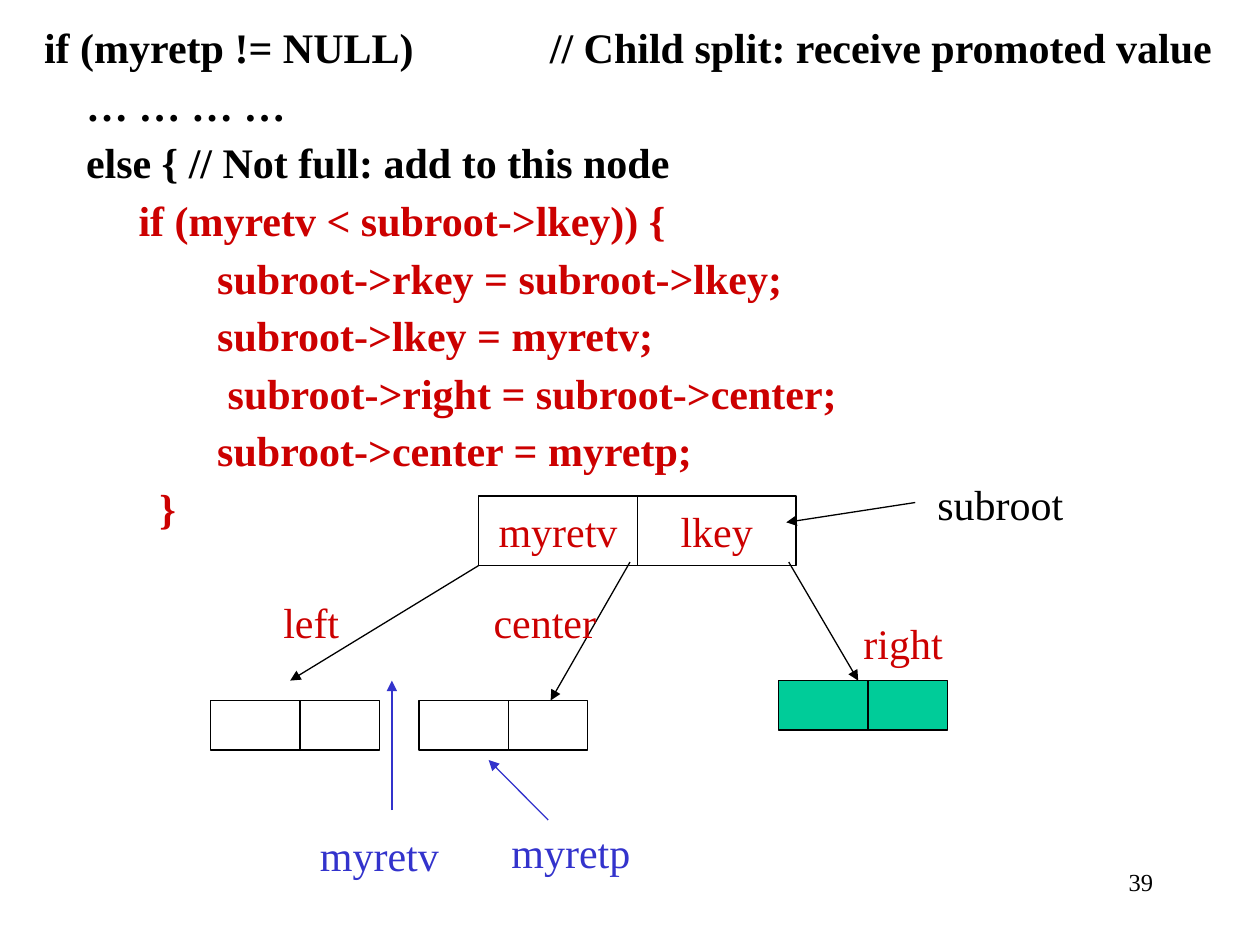
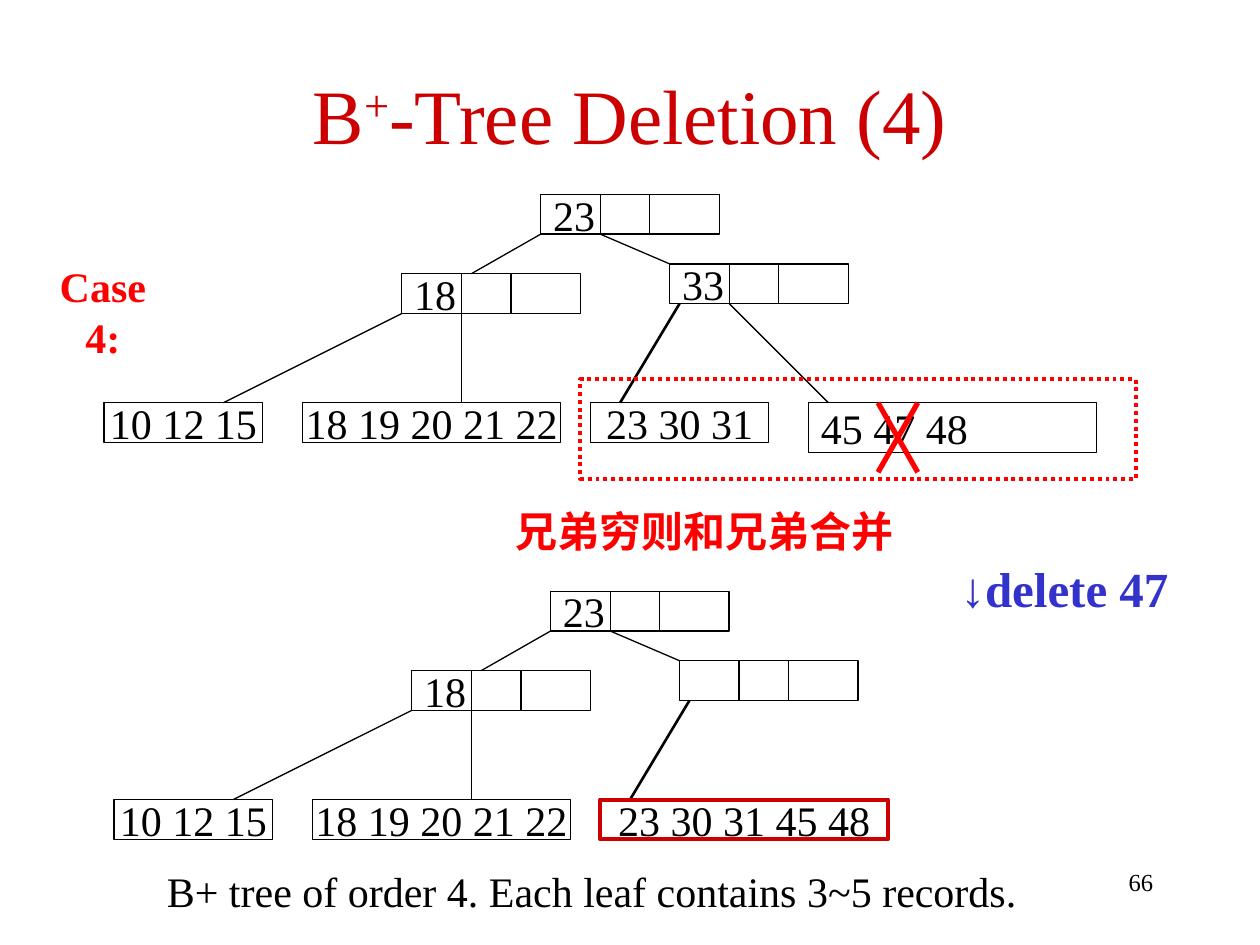
from lxml import etree
from pptx import Presentation
from pptx import util as u
from pptx.dml.color import RGBColor
from pptx.enum import dml, shapes, text
from pptx.oxml import ns

FONT = "Times New Roman"
BLACK, CRIMSON, RED = "000000", "CC0000", "FF0000"
BLUE, GREEN = "3333CC", "00CC99"
CENTER, LEFT, RIGHT = text.PP_ALIGN.CENTER, text.PP_ALIGN.LEFT, text.PP_ALIGN.RIGHT
TITLE_ONLY, BLANK = 5, 6

NODE_WIDTH, NODE_HEIGHT = 3.6, 0.8
KEY_DIVIDERS = (1.2, 2.2)
LEAF_DROP = 4.2  # from the top of the root to the top of the leaves

CODE = [
    ("if (myretp != NULL)             // Child split: receive promoted value", BLACK),
    ("    … … … …", BLACK),
    ("    else { // Not full: add to this node", BLACK),
    ("         if (myretv < subroot->lkey)) {", CRIMSON),
    ("              \tsubroot->rkey = subroot->lkey;", CRIMSON),
    ("        \t\tsubroot->lkey = myretv;", CRIMSON),
    ("       \t\t subroot->right = subroot->center;", CRIMSON),
    ("        \t\tsubroot->center = myretp;", CRIMSON),
    ("           }", CRIMSON),
]


def rgb(hex_color):
    return RGBColor.from_string(hex_color)


def set_font(paragraph, color=BLACK, size=24, bold=False):
    font = paragraph.font
    font.name, font.size, font.bold = FONT, u.Pt(size), bold
    font.color.rgb = rgb(color)


def box(slide, x, y, width, height, words="", color=BLACK, align=CENTER,
        fill=None, line=BLACK, weight=0.75, dash=None):
    """Outlined rectangle, with its words on one line."""
    rect = slide.shapes.add_shape(shapes.MSO_SHAPE.RECTANGLE,
                                  u.Cm(x), u.Cm(y), u.Cm(width), u.Cm(height))
    rect.shadow.inherit = False
    if fill:
        rect.fill.solid()
        rect.fill.fore_color.rgb = rgb(fill)
    else:
        rect.fill.background()
    rect.line.color.rgb = rgb(line)
    rect.line.width = u.Pt(weight)
    if dash:
        rect.line.dash_style = dash
    if words:
        frame = rect.text_frame
        frame.word_wrap = False
        frame.vertical_anchor = text.MSO_ANCHOR.MIDDLE
        paragraph = frame.paragraphs[0]
        paragraph.text, paragraph.alignment = words, align
        set_font(paragraph, color)


def label(slide, words, x, y, width, color=BLACK, size=24, bold=False, align=CENTER):
    area = slide.shapes.add_textbox(u.Cm(x), u.Cm(y), u.Cm(width), u.Cm(1.27))
    area.text_frame.word_wrap = False
    paragraph = area.text_frame.paragraphs[0]
    paragraph.text, paragraph.alignment = words, align
    set_font(paragraph, color, size, bold)


def page_number(slide, number):
    label(slide, str(number), 18.2, 17.35, 5.3, size=14, align=RIGHT)


def line(slide, start, end, color=BLACK, weight=0.75, arrow=False):
    connector = slide.shapes.add_connector(
        shapes.MSO_CONNECTOR.STRAIGHT, *(u.Cm(value) for value in (*start, *end)))
    connector.line.color.rgb = rgb(color)
    connector.line.width = u.Pt(weight)
    if arrow:
        outline = connector.line._get_or_add_ln()
        etree.SubElement(outline, ns.qn("a:tailEnd"), type="triangle")
    etree.SubElement(connector._element.spPr, ns.qn("a:effectLst"))


def code_listing(slide, lines):
    area = slide.shapes.add_textbox(u.Cm(0.64), u.Cm(0.43), u.Cm(24.76), u.Cm(11.5))
    frame = area.text_frame
    frame.word_wrap = True
    for number, (code, color) in enumerate(lines):
        paragraph = frame.add_paragraph() if number else frame.paragraphs[0]
        paragraph.text = code
        props = paragraph._p.get_or_add_pPr()
        props.set("marL", str(u.Cm(0.95)))
        props.set("indent", str(u.Cm(-0.95)))
        tabs = etree.SubElement(props, ns.qn("a:tabLst"))
        for stop in range(8):
            etree.SubElement(tabs, ns.qn("a:tab"), pos=str(u.Cm(2.54 * stop)), algn="l")
        paragraph.line_spacing = 0.9
        if number:
            paragraph.space_before = u.Pt(7)
        set_font(paragraph, color, bold=True)


def child_node(slide, x, y, fill=None):
    box(slide, x, y, 1.8, 1, fill=fill)
    box(slide, x + 1.8, y, 1.6, 1, fill=fill)


def index_node(slide, x, y, key):
    box(slide, x, y, NODE_WIDTH, NODE_HEIGHT, key, align=LEFT)
    for offset in KEY_DIVIDERS:
        line(slide, (x + offset, y), (x + offset, y + NODE_HEIGHT))


def tree(slide, x, y, right_key):
    """Index levels and the two unchanged leaves, with the root's corner at x, y."""
    def edge(start, end, weight=0.75):
        line(slide, (x + start[0], y + start[1]), (x + end[0], y + end[1]), weight=weight)

    index_node(slide, x, y, "23")
    index_node(slide, x - 2.8, y + 1.6, "18")
    index_node(slide, x + 2.6, y + 1.4, right_key)
    box(slide, x - 8.8, y + LEAF_DROP, 3.2, NODE_HEIGHT, "10 12 15")
    box(slide, x - 4.8, y + LEAF_DROP, 5.2, NODE_HEIGHT, "18 19 20 21 22")
    edge((0, 0.8), (-1.4, 1.6))
    edge((1.2, 0.8), (2.6, 1.4))
    edge((-2.8, 2.4), (-6.4, LEAF_DROP))
    edge((-1.6, 2.4), (-1.6, LEAF_DROP))
    edge((2.8, 2.2), (1.6, LEAF_DROP), 1.5)


def insertion_slide(prs):
    slide = prs.slides.add_slide(prs.slide_layouts[BLANK])
    page_number(slide, 39)
    code_listing(slide, CODE)
    for column, key in enumerate(("myretv", "lkey")):
        box(slide, 9.65 + 3.2 * column, 10, 3.2, 1.4, key, CRIMSON)
    child_node(slide, 4.25, 14.12)
    child_node(slide, 8.45, 14.12)
    child_node(slide, 15.7, 13.72, GREEN)
    for start, end, color in (
        ((9.65, 11.4), (5.85, 13.72), BLACK),
        ((12.7, 11.33), (11.1, 14.12), BLACK),
        ((15.9, 11.33), (17.3, 13.72), BLACK),
        ((18.45, 10.13), (15.85, 10.53), BLACK),
        ((7.9, 16.33), (7.9, 13.72), BLUE),
        ((11.05, 16.53), (9.85, 15.32), BLUE),
    ):
        line(slide, start, end, color, arrow=True)
    for words, x, y, width, color in (
        ("left", 5.46, 11.91, 1.63, CRIMSON),
        ("center", 9.7, 11.91, 2.57, CRIMSON),
        ("right", 17.15, 12.32, 2.11, CRIMSON),
        ("subroot", 18.64, 9.53, 3.05, BLACK),
        ("myretv", 6.2, 16.59, 2.9, BLUE),
        ("myretp", 10.06, 16.54, 2.9, BLUE),
    ):
        label(slide, words, x, y, width, color)


def deletion_title(slide):
    title = slide.shapes.title
    title.left, title.top, title.width, title.height = (
        u.Cm(1.27), u.Cm(1.02), u.Cm(22.86), u.Cm(2.54))
    title.text_frame.vertical_anchor = text.MSO_ANCHOR.MIDDLE
    paragraph = title.text_frame.paragraphs[0]
    paragraph.alignment = CENTER
    for words in ("B", "+", "-Tree Deletion (4)"):
        run = paragraph.add_run()
        run.text = words
        if words == "+":
            run._r.get_or_add_rPr().set("baseline", "30000")
    set_font(paragraph, CRIMSON, 44)


def deletion_slide(prs):
    slide = prs.slides.add_slide(prs.slide_layouts[TITLE_ONLY])
    deletion_title(slide)
    page_number(slide, 66)

    before_x, before_y = 10.9, 3.92
    leaf_y = before_y + LEAF_DROP
    tree(slide, before_x, before_y, "33")
    box(slide, before_x + 1, leaf_y, NODE_WIDTH, NODE_HEIGHT, "23 30 31")
    box(slide, before_x + 5.4, leaf_y, 5.8, 1, "45 47 48", align=LEFT)
    line(slide, (before_x + 3.8, before_y + 2.2), (before_x + 5.8, leaf_y))

    cross_left, cross_right, cross_bottom = 17.7, 18.5, leaf_y + 1.4
    line(slide, (cross_left, leaf_y), (cross_right, cross_bottom), RED, 3)
    line(slide, (cross_left, cross_bottom), (cross_right, leaf_y), RED, 3)
    box(slide, 11.7, 7.65, 11.2, 2, line=RED, weight=2.25,
        dash=dml.MSO_LINE.ROUND_DOT)

    after_x, after_y = before_x + 0.2, before_y + 8
    tree(slide, after_x, after_y, "")
    box(slide, after_x + 1, after_y + LEAF_DROP, 5.8, NODE_HEIGHT,
        "23 30 31 45 48", line=CRIMSON, weight=2.25)

    label(slide, "Case 4:", 0.5, 5.13, 3.15, RED, bold=True)
    label(slide, "兄弟穷则和兄弟合并", 10.13, 10.06, 8.13, RED, bold=True)
    label(slide, "↓delete 47", 18.11, 11.13, 6.7, BLUE, 28, True)
    label(slide, "B+ tree of order 4. Each leaf contains 3~5 records.", 3, 17.32, 17.86)


def main():
    prs = Presentation()
    prs.slide_width, prs.slide_height = u.Cm(25.4), u.Cm(19.05)
    insertion_slide(prs)
    deletion_slide(prs)
    prs.save("out.pptx")


if __name__ == "__main__":
    main()
